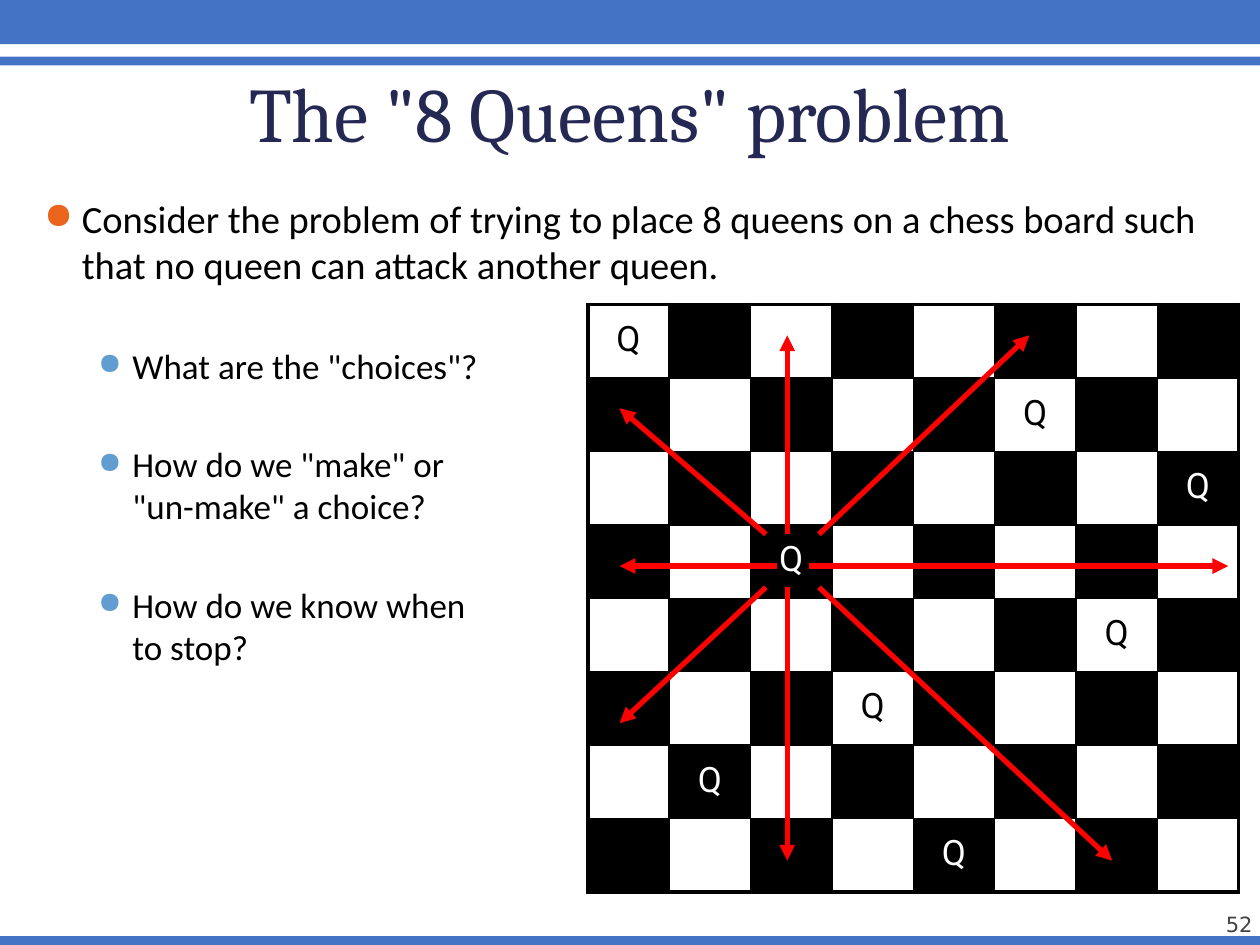
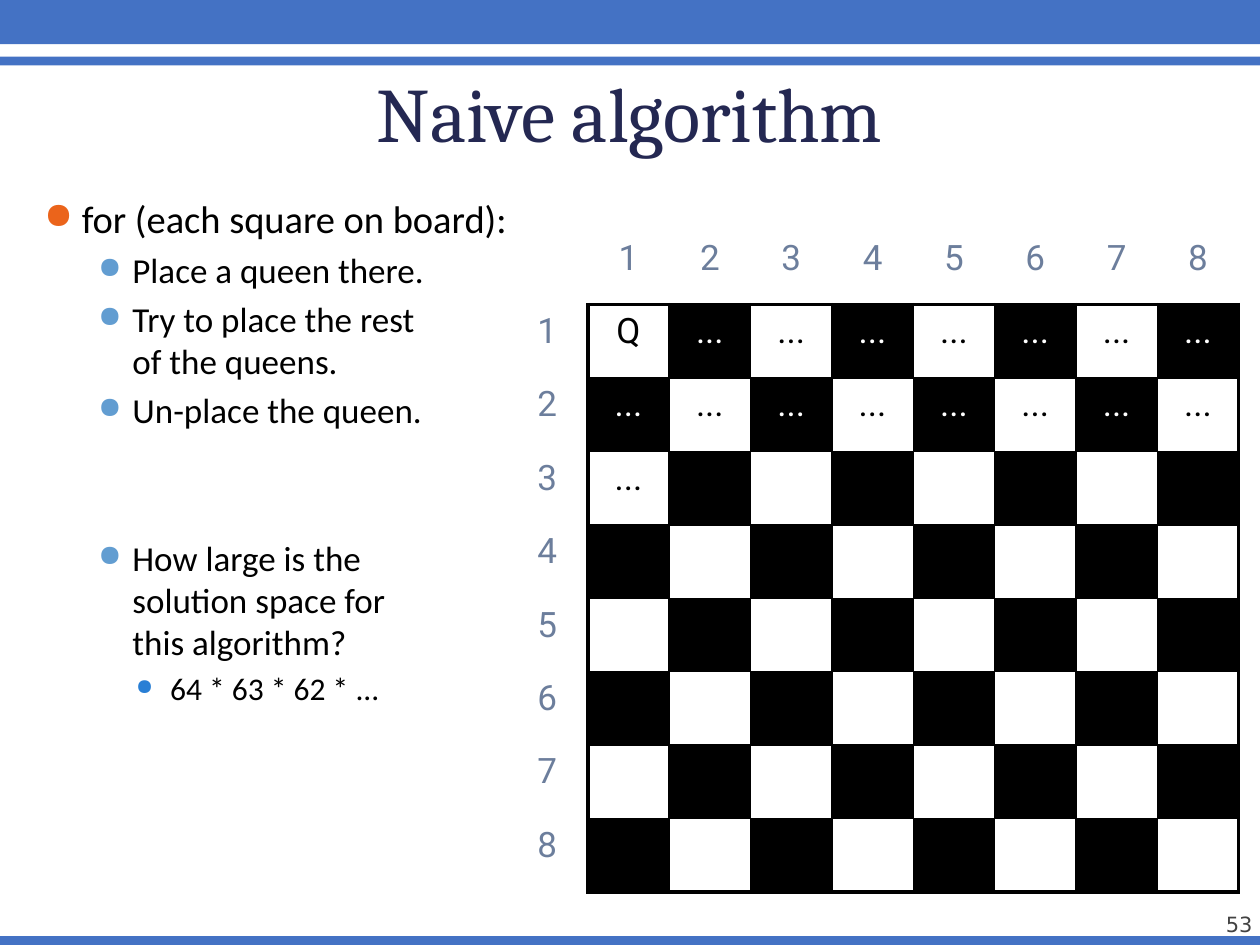
from lxml import etree
from pptx import Presentation
from pptx import util as u
from pptx.dml.color import RGBColor
from pptx.enum import shapes, text
from pptx.oxml import ns

COLORS = {
    "band": "4472C4", "title": "242852", "page": "424242",
    "black": "000000", "white": "FFFFFF", "label": "6C7E9C", "arrow": "FF0000",
}
LEVELS = [
    {"left": 0.76, "hang": 0.76, "size": 22, "bullet": "EB641B", "scale": 95},
    {"left": 1.78, "hang": 0.69, "size": 20, "bullet": "629DD1", "scale": 85},
    {"left": 2.54, "hang": 0.69, "size": 18, "bullet": "297FD5", "scale": 70},
]
WIDTH, HEIGHT = 25.4, 19.05
BANDS = [(0, 0.89), (1.14, 0.18), (18.87, 0.18)]
TITLE_BOX = (1.27, 1.22, 22.86, 1.96)
BODY_BOX = (0.64, 3.81, 24.76, 14.4)
PAGE_BOX = (23.14, 17.86, 2.11, 1.02)
BOARD_BOX = (11.85, 6.14, 13.12, 11.84)
SQUARES = 8
THICK, THIN = 2.25, 1
PLAIN_TABLE = "{2D5ABB26-0587-4C30-8999-92F81FD0307C}"
ONE_SKIPPED, TWO_SKIPPED = 32.4, 60.8

QUEEN_COLUMNS = [0, 5, 7, 2, 6, 3, 1, 4]
ATTACKS = [
    ((4.02, 4.63), (4.02, 0.62)),
    ((4.02, 5.7), (4.02, 11.21)),
    ((4.45, 5.27), (12.91, 5.27)),
    ((3.82, 5.27), (0.64, 5.27)),
    ((3.59, 4.63), (0.64, 2.09)),
    ((3.59, 5.7), (0.64, 8.44)),
    ((4.66, 5.7), (10.57, 11.21)),
    ((4.66, 4.63), (8.9, 0.62)),
]
PROBLEM_POINTS = [
    (0, 0, "Consider the problem of trying to place 8 queens on a chess board such "
           "that no queen can attack another queen."),
    (1, ONE_SKIPPED, "What are the \"choices\"?"),
    (1, ONE_SKIPPED, "How do we \"make\" or\n\"un-make\" a choice?"),
    (1, ONE_SKIPPED, "How do we know when\nto stop?"),
]
NAIVE_POINTS = [
    (0, 0, "for (each square on board):"),
    (1, 4, "Place a queen there."),
    (1, 4, "Try to place the rest\nof the queens."),
    (1, 4, "Un-place the queen."),
    (1, TWO_SKIPPED, "How large is the\nsolution space for\nthis algorithm?"),
    (2, 3.6, "64 * 63 * 62 * ..."),
]


def rgb(name):
    """Return the named colour."""
    return RGBColor.from_string(COLORS[name])


def cm(values):
    """Turn centimetres into slide lengths."""
    return [u.Cm(v) for v in values]


def add_run(p, words, size, font, color):
    """Add one formatted run to a paragraph."""
    r = p.add_run()
    r.text = words
    r.font.size = u.Pt(size)
    r.font.name = font
    r.font.color.rgb = rgb(color)


def add_textbox(s, box):
    """Add a wrapping text box and return its frame."""
    tf = s.shapes.add_textbox(*cm(box)).text_frame
    tf.word_wrap = True
    return tf


def add_caption(s, box, words, size, font, color, align, top=0):
    """Add a single line of text resting on the bottom of its box."""
    tf = add_textbox(s, box)
    tf.margin_left = tf.margin_right = tf.margin_bottom = 0
    tf.margin_top = u.Cm(top)
    tf.vertical_anchor = text.MSO_ANCHOR.BOTTOM
    p = tf.paragraphs[0]
    p.alignment = align
    add_run(p, words, size, font, color)


def add_frame(s, title, number):
    """Draw the bands, title and page number shared by the slides."""
    add_caption(s, PAGE_BOX, str(number), 12, "DejaVu Sans", "page", text.PP_ALIGN.RIGHT)
    for top, height in BANDS:
        sp = s.shapes.add_shape(shapes.MSO_SHAPE.RECTANGLE, *cm((0, top, WIDTH, height)))
        sp.shadow.inherit = False
        sp.fill.solid()
        sp.fill.fore_color.rgb = rgb("band")
        sp.line.fill.background()
    add_caption(s, TITLE_BOX, title, 44, "Cambria", "title", text.PP_ALIGN.CENTER, 0.13)


def add_bullet(p, level):
    """Give a paragraph the indent and bullet of its level."""
    style = LEVELS[level]
    p.level = level
    pPr = p._p.get_or_add_pPr()
    pPr.set("marL", str(u.Cm(style["left"])))
    pPr.set("indent", str(-u.Cm(style["hang"])))
    color = etree.SubElement(pPr, ns.qn("a:buClr"))
    etree.SubElement(color, ns.qn("a:srgbClr"), val=style["bullet"])
    etree.SubElement(pPr, ns.qn("a:buSzPct"), val=str(style["scale"] * 1000))
    etree.SubElement(pPr, ns.qn("a:buChar"), char="●")


def add_points(s, box, points):
    """Write the bulleted outline."""
    tf = add_textbox(s, box)
    for i, (level, before, words) in enumerate(points):
        p = tf.add_paragraph() if i else tf.paragraphs[0]
        add_bullet(p, level)
        if before:
            p.space_before = u.Pt(before)
        for j, line in enumerate(words.split("\n")):
            if j:
                p.add_line_break()
            add_run(p, line, LEVELS[level]["size"], "Calibri", "black")


def set_borders(cell, widths):
    """Draw black cell borders for the sides that have a width."""
    tcPr = cell._tc.get_or_add_tcPr()
    sides = [side for side in "LRTB" if side in widths]
    for i, side in enumerate(sides):
        ln = etree.Element(ns.qn("a:ln" + side), w=str(u.Pt(widths[side])))
        fill = etree.SubElement(ln, ns.qn("a:solidFill"))
        etree.SubElement(fill, ns.qn("a:srgbClr"), val=COLORS["black"])
        tcPr.insert(i, ln)


def write_cell(cell, words, color, spacing):
    """Centre a mark in a cell."""
    p = cell.text_frame.paragraphs[0]
    p.alignment = text.PP_ALIGN.CENTER
    p.line_spacing = spacing
    add_run(p, words, 20, "Roboto", color)


def fill_square(cell, row, col, mark, spacing):
    """Paint one chess square with its borders and mark."""
    dark = (row + col) % 2 == 1
    if dark:
        cell.fill.solid()
        cell.fill.fore_color.rgb = rgb("black")
    else:
        cell.fill.background()
    last = SQUARES - 1
    edges = {"L": col == 0, "R": col == last, "T": row == 0, "B": row == last}
    set_borders(cell, {side: THICK if outer else THIN for side, outer in edges.items()})
    if mark:
        write_cell(cell, mark, "white" if dark else "black", spacing)


def fill_label(cell, row, col, spacing):
    """Number one row or column beside the board."""
    cell.fill.background()
    if row != col:
        write_cell(cell, str(max(row, col) + 1), "label", spacing)
        set_borders(cell, {"B" if row < 0 else "R": THICK})


def add_board(s, box, marks, spacing=1.0, labels=0):
    """Add the chess board, with a numbered row and column outside the box if asked."""
    left, top, width, height = box
    step_x, step_y = width / SQUARES, height / SQUARES
    count = SQUARES + labels
    area = (left - labels * step_x, top - labels * step_y, count * step_x, count * step_y)
    table = s.shapes.add_table(count, count, *cm(area)).table
    table.first_row = table.horz_banding = False
    table._tbl.tblPr.find(ns.qn("a:tableStyleId")).text = PLAIN_TABLE
    for i in range(count):
        table.columns[i].width = u.Cm(step_x)
        table.rows[i].height = u.Cm(step_y)
        for j in range(count):
            row, col = i - labels, j - labels
            if min(row, col) < 0:
                fill_label(table.cell(i, j), row, col, spacing)
            else:
                fill_square(table.cell(i, j), row, col, marks.get((row, col)), spacing)


def add_attacks(s, box):
    """Draw the lines of attack of one queen over the board."""
    left, top = box[:2]
    group = s.shapes.add_group_shape()
    for (x1, y1), (x2, y2) in ATTACKS:
        ends = cm((left + x1, top + y1, left + x2, top + y2))
        line = group.shapes.add_connector(shapes.MSO_CONNECTOR.STRAIGHT, *ends)
        line.line.color.rgb = rgb("arrow")
        line.line.width = u.Pt(3)
        etree.SubElement(line.line._get_or_add_ln(), ns.qn("a:tailEnd"), type="triangle")
        etree.SubElement(line._element.spPr, ns.qn("a:effectLst"))


def add_problem_slide(s):
    """Build the slide that states the problem."""
    add_frame(s, "The \"8 Queens\" problem", 52)
    add_points(s, BODY_BOX, PROBLEM_POINTS)
    queens = {square: "Q" for square in enumerate(QUEEN_COLUMNS)}
    add_board(s, BOARD_BOX, queens, spacing=1.2)
    add_attacks(s, BOARD_BOX)


def add_naive_slide(s):
    """Build the slide on the naive algorithm."""
    add_frame(s, "Naive algorithm", 53)
    add_points(s, BODY_BOX, NAIVE_POINTS)
    tried = {divmod(n, SQUARES): "..." if n else "Q" for n in range(2 * SQUARES + 1)}
    add_board(s, BOARD_BOX, tried, labels=1)


def main():
    """Build and save the presentation."""
    prs = Presentation()
    prs.slide_width, prs.slide_height = cm((WIDTH, HEIGHT))
    for build in (add_problem_slide, add_naive_slide):
        build(prs.slides.add_slide(prs.slide_layouts[6]))
    prs.save("out.pptx")


if __name__ == "__main__":
    main()
